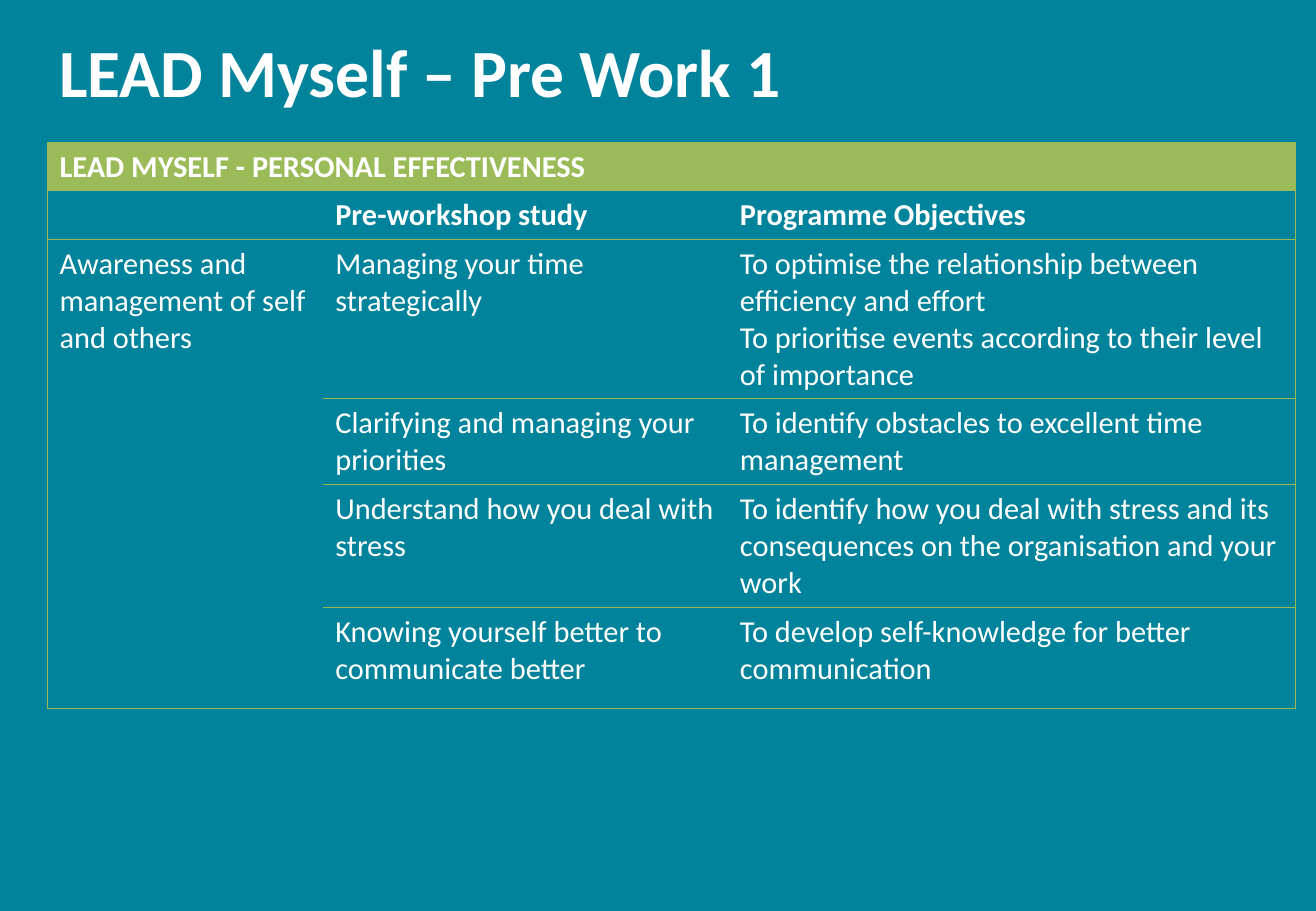
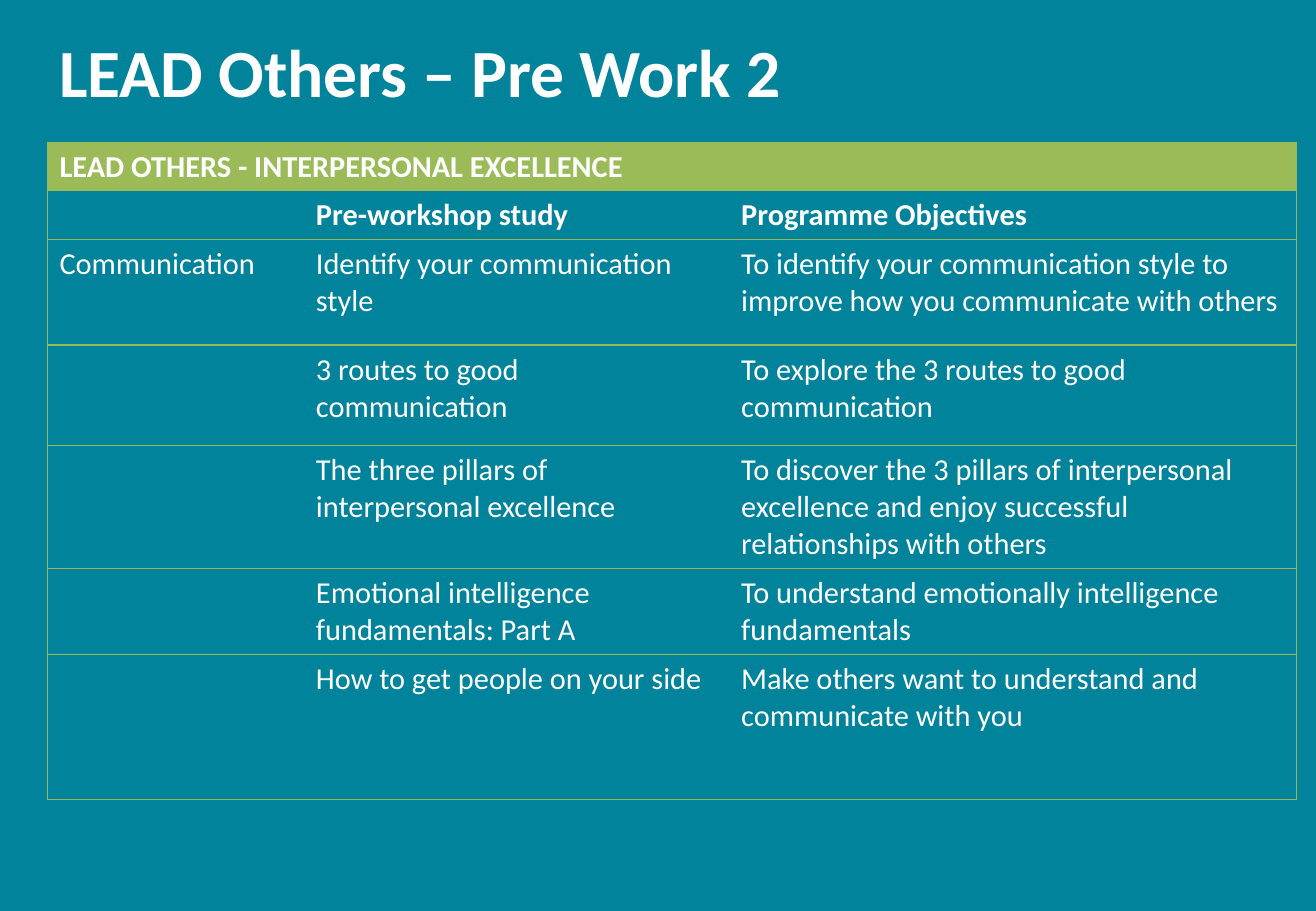
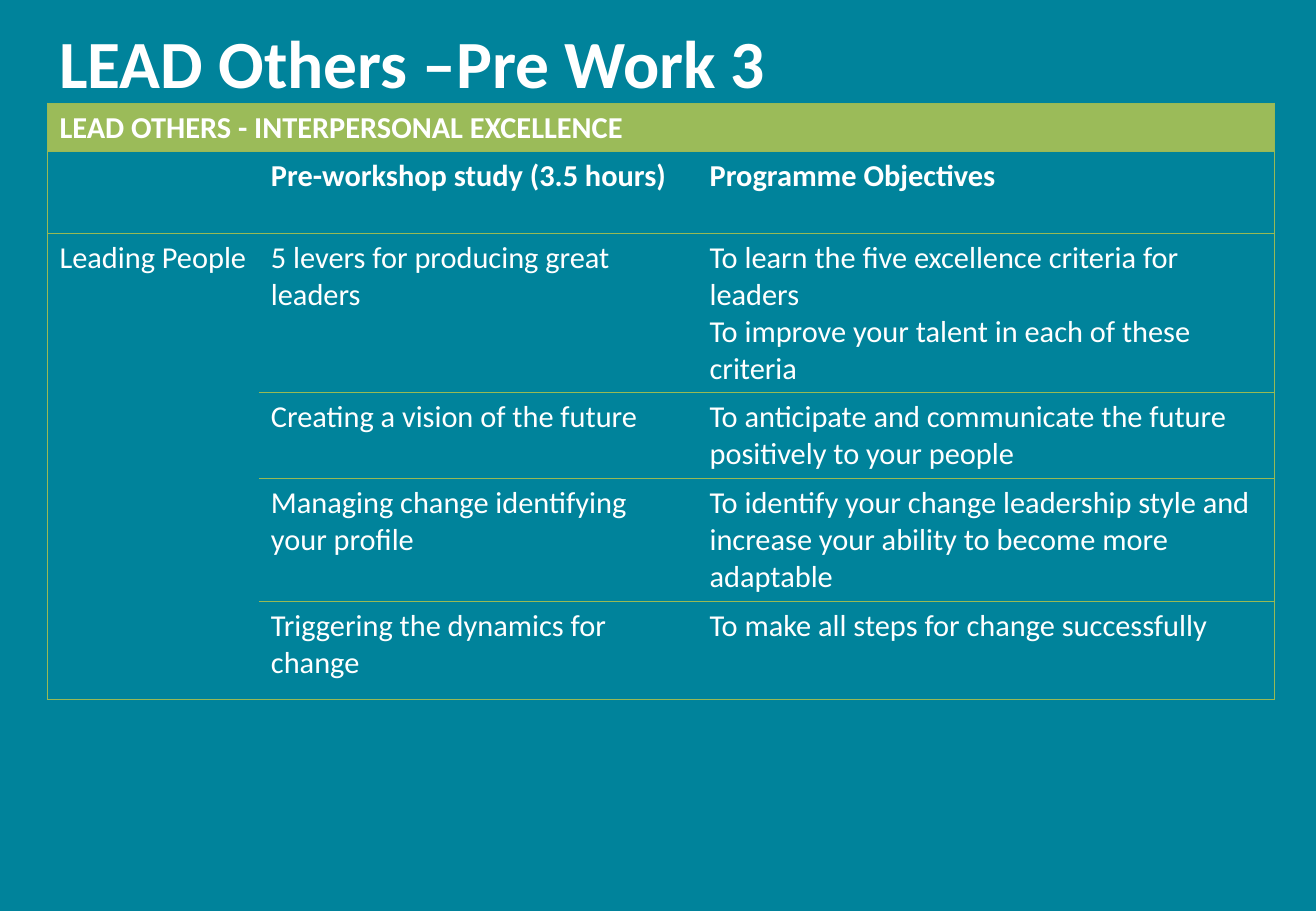
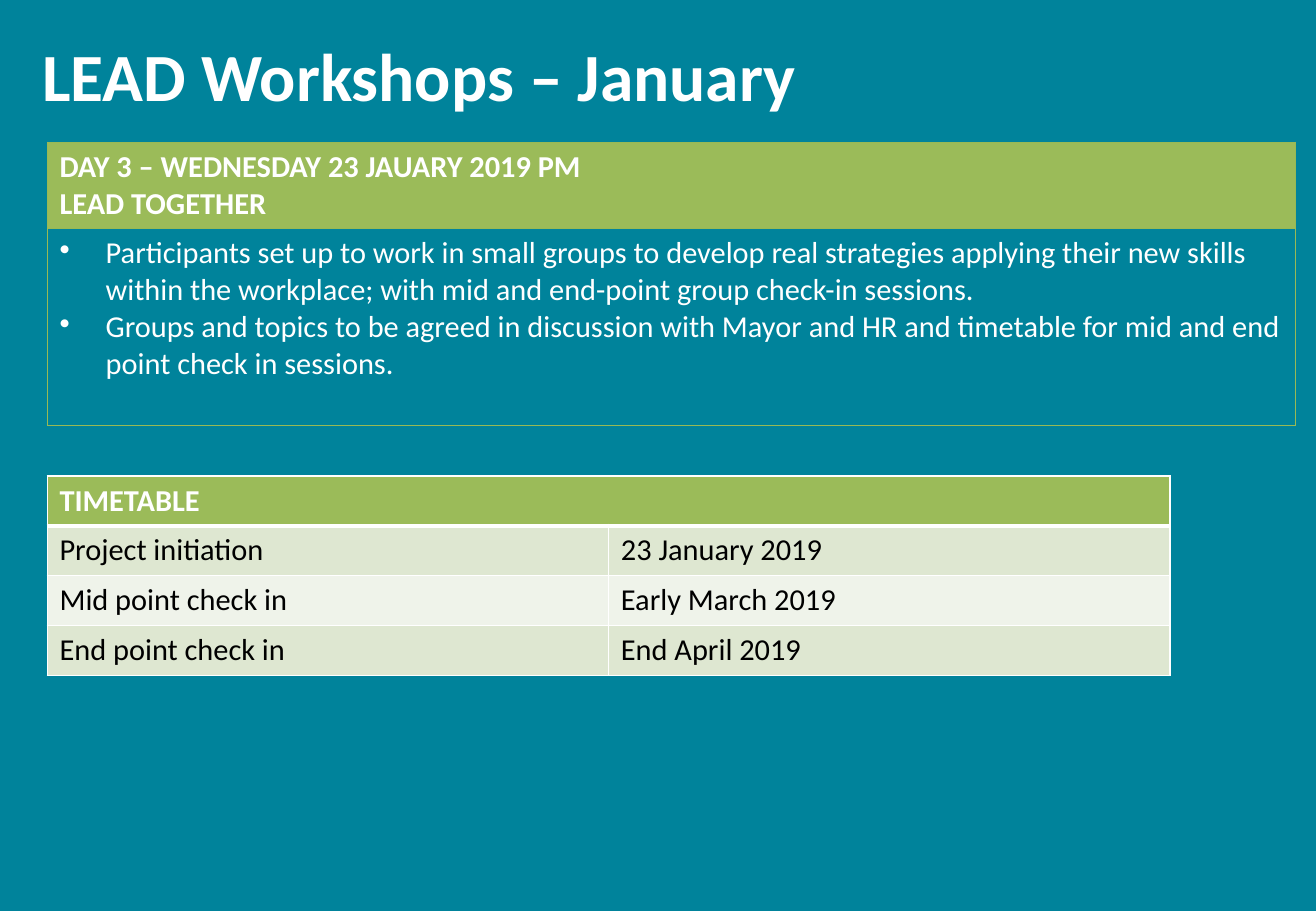
from typing import NamedTuple

from lxml import etree
from pptx import Presentation
from pptx.dml.color import RGBColor
from pptx.enum.text import MSO_ANCHOR
from pptx.oxml.ns import qn
from pptx.util import Emu, Pt

EMU_PER_PX = 9144
SLIDE_WIDTH, SLIDE_HEIGHT = 1083, 750
BLANK_LAYOUT = 6
MIDDLE = MSO_ANCHOR.MIDDLE

FONT = "Calibri"
TEAL, WHITE, BLACK = "00839B", "FFFFFF", "000000"
GREEN, GREEN_LINE = "9BBB59", "98B955"
PALE_GREEN, FAINT_GREEN = "DEE7D1", "EFF3EA"

TITLE_SIZE, BODY_SIZE = 40, 18
TITLE_HEIGHT = 76
TABLE_LEFT, TABLE_TOP = 39, 117
BULLET_INDENT = 38


class TableStyle(NamedTuple):
    """Look of a table: lines, body fills in rotation and body text."""

    line: str
    line_width: float
    header_rule: float
    column_lines: bool
    body_fills: tuple
    body_colour: str


OUTLINED = TableStyle(GREEN_LINE, 0.75, 0.75, False, (None,), WHITE)
BANDED = TableStyle(WHITE, 1, 3, True, (PALE_GREEN, FAINT_GREEN), BLACK)

STUDY, OBJECTIVES = "Pre-workshop study", "Programme Objectives"

PRE_WORK = [
    {
        "title": "LEAD Myself – Pre Work 1",
        "title_box": (39, 20, 902),
        "top": TABLE_TOP,
        "columns": (227, 333, 467),
        "heights": (40, 40, 131, 71, 101, 83),
        "merge_label": True,
        "rows": [
            ("LEAD MYSELF - PERSONAL EFFECTIVENESS", "", ""),
            ("", STUDY, OBJECTIVES),
            ("Awareness and management of self and others",
             "Managing your time strategically",
             ("To optimise the relationship between efficiency and effort",
              "To prioritise events according to their level of importance")),
            ("", "Clarifying and managing your priorities",
             "To identify obstacles to excellent time management"),
            ("", "Understand how you deal with stress",
             "To identify how you deal with stress and its consequences on "
             "the organisation and your work"),
            ("", "Knowing yourself better to communicate better",
             "To develop self-knowledge for better communication"),
        ],
    },
    {
        "title": "LEAD Others – Pre Work 2",
        "title_box": (39, 20, 861),
        "top": TABLE_TOP,
        "columns": (211, 350, 467),
        "heights": (40, 40, 87, 83, 101, 71, 119),
        "merge_label": False,
        "rows": [
            ("LEAD OTHERS - INTERPERSONAL EXCELLENCE", "", ""),
            ("", STUDY, OBJECTIVES),
            ("Communication", "Identify your communication style",
             "To identify your communication style to improve how you "
             "communicate with others"),
            ("", "3 routes to good communication",
             "To explore the 3 routes to good communication"),
            ("", "The three pillars of interpersonal excellence",
             "To discover the 3 pillars of interpersonal excellence and enjoy "
             "successful relationships with others"),
            ("", "Emotional intelligence fundamentals: Part A",
             "To understand emotionally intelligence fundamentals"),
            ("", "How to get people on your side",
             "Make others want to understand and communicate with you"),
        ],
    },
    {
        "title": "LEAD Others –Pre Work 3",
        "title_box": (39, 13, 836),
        "top": 85,
        "columns": (174, 361, 475),
        "heights": (40, 67, 131, 71, 101, 81),
        "merge_label": True,
        "rows": [
            ("LEAD OTHERS - INTERPERSONAL EXCELLENCE", "", ""),
            ("", STUDY + " (3.5 hours)", OBJECTIVES),
            ("Leading People", "5 levers for producing great leaders",
             ("To learn the five excellence criteria for leaders",
              "To improve your talent in each of these criteria")),
            ("", "Creating a vision of the future",
             "To anticipate and communicate the future positively to your "
             "people"),
            ("", "Managing change identifying your profile",
             "To identify your change leadership style and increase your "
             "ability to become more adaptable"),
            ("", "Triggering the dynamics for change",
             "To make all steps for change successfully"),
        ],
    },
]

WORKSHOP_ROWS = [
    (("DAY 3 – WEDNESDAY 23 JAUARY 2019 PM", "LEAD TOGETHER"),),
    (("Participants set up to work in small groups to develop real "
      "strategies applying their new skills within the workplace; with mid "
      "and end-point group check-in sessions.",
      "Groups and topics to be agreed in discussion with Mayor and HR and "
      "timetable for mid and end point check in sessions."),),
]

TIMETABLE_ROWS = [
    ("TIMETABLE", ""),
    ("Project initiation", "23 January 2019"),
    ("Mid point check in", "Early March 2019"),
    ("End point check in", "End April 2019"),
]


def px(length):
    """Turn px into EMU."""
    return Emu(length * EMU_PER_PX)


def rgb(colour):
    """Turn a hex string into a colour."""
    return RGBColor.from_string(colour)


def add_run(paragraph, text, size, colour, bold):
    """Add one formatted run to a paragraph."""
    run = paragraph.add_run()
    run.text = text
    run.font.name = FONT
    run.font.size = Pt(size)
    run.font.bold = bold
    run.font.color.rgb = rgb(colour)


def add_bullet(paragraph):
    """Give a paragraph a round bullet and a hanging indent."""
    properties = paragraph._p.get_or_add_pPr()
    properties.set("marL", str(px(BULLET_INDENT)))
    properties.set("indent", str(-px(BULLET_INDENT)))
    etree.SubElement(properties, qn("a:buChar"), char="•")


def fill_text(cell, content, colour, bold, bulleted):
    """Write a string, or one string per paragraph, into a cell."""
    texts = (content,) if isinstance(content, str) else content
    frame = cell.text_frame
    for index, text in enumerate(texts):
        paragraph = frame.add_paragraph() if index else frame.paragraphs[0]
        if bulleted:
            add_bullet(paragraph)
        if text:
            add_run(paragraph, text, BODY_SIZE, colour, bold)


def set_edge(cell, side, colour, width):
    """Draw one edge of a cell, or clear it when width is zero."""
    properties = cell._tc.get_or_add_tcPr()
    line = etree.SubElement(properties, qn("a:ln" + side), w=str(Pt(width)))
    if width:
        fill = etree.SubElement(line, qn("a:solidFill"))
        etree.SubElement(fill, qn("a:srgbClr"), val=colour)
    else:
        etree.SubElement(line, qn("a:noFill"))


def set_edges(table, row, column, style):
    """Draw the edges that a cell has at its place in the table."""
    cell = table.cell(row, column)
    last_row, last_column = len(table.rows) - 1, len(table.columns) - 1
    under_label = cell.is_spanned and column == 0
    beside_header = cell.is_spanned and row == 0
    wide = cell.is_merge_origin and cell.span_width > 1
    shown = {
        "L": column == 0 or (style.column_lines and not beside_header),
        "R": column == last_column or wide or style.column_lines,
        "T": not under_label,
        "B": not under_label or row == last_row,
    }
    header_side = {0: "B", 1: "T"}.get(row)
    for side, visible in shown.items():
        width = style.header_rule if side == header_side else style.line_width
        set_edge(cell, side, style.line, width if visible else 0)


def add_table(slide, left, top, columns, heights, rows, style,
              bold_rows=1, merge_label=False, bulleted=False):
    """Place a table with a header band across all its columns."""
    frame = slide.shapes.add_table(
        len(rows), len(columns), px(left), px(top),
        px(sum(columns)), px(sum(heights)))
    table = frame.table
    for column, width in zip(table.columns, columns):
        column.width = px(width)
    for row, height in zip(table.rows, heights):
        row.height = px(height)
    if len(columns) > 1:
        table.cell(0, 0).merge(table.cell(0, len(columns) - 1))
    if merge_label:
        table.cell(bold_rows, 0).merge(table.cell(len(rows) - 1, 0))

    for row, contents in enumerate(rows):
        header = row == 0
        fills = style.body_fills
        fill = GREEN if header else fills[(row - 1) % len(fills)]
        colour = WHITE if header else style.body_colour
        for column, content in enumerate(contents):
            cell = table.cell(row, column)
            set_edges(table, row, column, style)
            if fill:
                cell.fill.solid()
                cell.fill.fore_color.rgb = rgb(fill)
            else:
                cell.fill.background()
            fill_text(cell, content, colour, row < bold_rows,
                      bulleted and not header)


def add_titled_slide(presentation, title, left, top, width):
    """Add a blank slide with its title."""
    slide = presentation.slides.add_slide(
        presentation.slide_layouts[BLANK_LAYOUT])
    box = slide.shapes.add_textbox(
        px(left), px(top), px(width), px(TITLE_HEIGHT))
    frame = box.text_frame
    frame.word_wrap = True
    frame.vertical_anchor = MIDDLE
    add_run(frame.paragraphs[0], title, TITLE_SIZE, WHITE, True)
    return slide


def add_pre_work_slide(presentation, content):
    """Add a slide that lists study topics and their objectives."""
    slide = add_titled_slide(
        presentation, content["title"], *content["title_box"])
    add_table(slide, TABLE_LEFT, content["top"], content["columns"],
              content["heights"], content["rows"], OUTLINED,
              bold_rows=2, merge_label=content["merge_label"])


def add_workshop_slide(presentation):
    """Add the slide with the workshop day and its timetable."""
    slide = add_titled_slide(
        presentation, "LEAD Workshops – January", 25, 23, 807)
    add_table(slide, TABLE_LEFT, TABLE_TOP, (1027,), (71, 162),
              WORKSHOP_ROWS, OUTLINED, bulleted=True)
    add_table(slide, TABLE_LEFT, 392, (462,) * 2, (41,) * 4,
              TIMETABLE_ROWS, BANDED)


def main():
    """Build the presentation and save it."""
    presentation = Presentation()
    presentation.slide_width = px(SLIDE_WIDTH)
    presentation.slide_height = px(SLIDE_HEIGHT)
    background = presentation.slide_master.background.fill
    background.solid()
    background.fore_color.rgb = rgb(TEAL)
    for content in PRE_WORK:
        add_pre_work_slide(presentation, content)
    add_workshop_slide(presentation)
    presentation.save("out.pptx")


if __name__ == "__main__":
    main()
